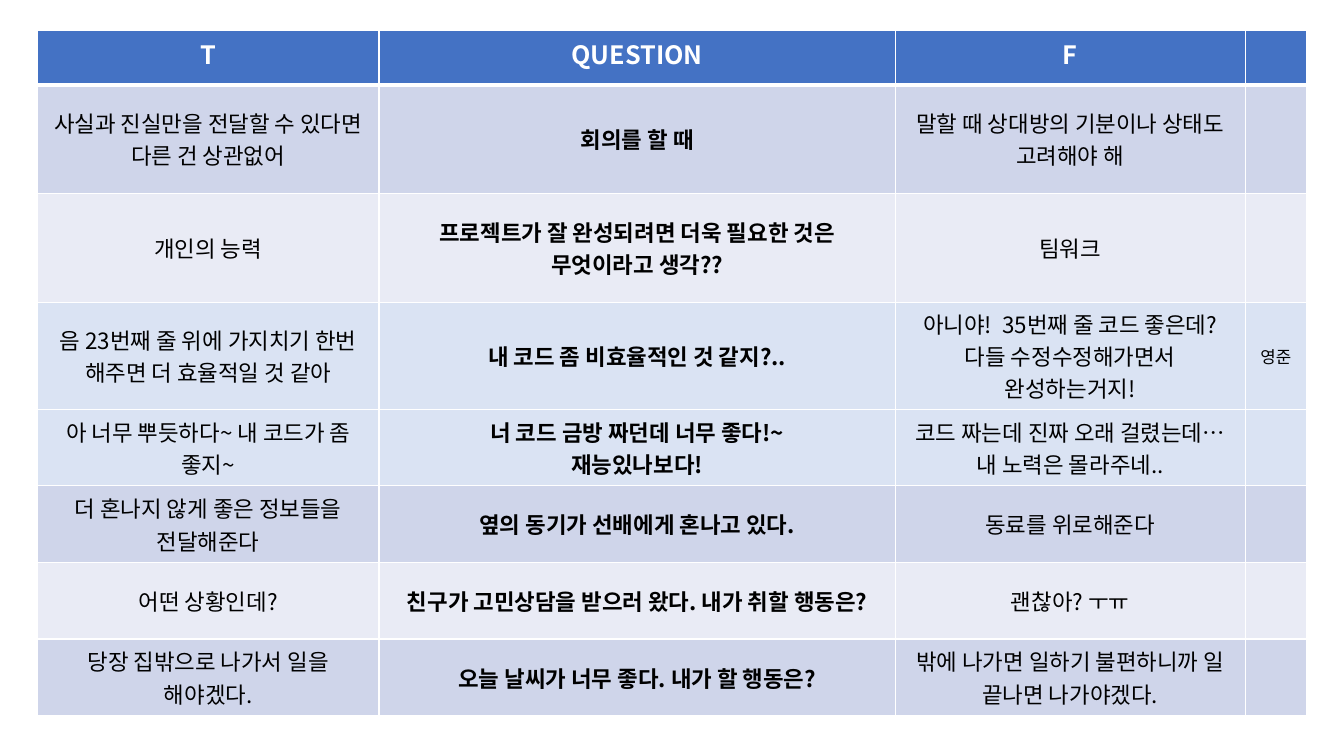
from pptx import Presentation
from pptx.dml.color import RGBColor as RGB
from pptx.enum.text import MSO_ANCHOR as Anchor, PP_ALIGN as Align
from pptx.oxml import parse_xml
from pptx.oxml.ns import nsdecls
from pptx.util import Inches, Pt

FONT = "Noto Sans CJK KR"
WHITE, BLACK = "FFFFFF", "000000"
BLUE, DARK, LIGHT, PALE = "4472C4", "CFD5EA", "E9EBF5", "DAE3F3"


def write(cell, text, size, color, bold):
    """Put centred text in a cell, one paragraph a line."""
    frame = cell.text_frame
    for i, line in enumerate(text.split("\n")):
        para = frame.paragraphs[0] if i == 0 else frame.add_paragraph()
        para.alignment = Align.CENTER
        run = para.add_run()
        run.text = line
        font = run.font
        font.name, font.size, font.bold = FONT, Pt(size), bold
        font.color.rgb = RGB.from_string(color)
        font.latin = None
        run._r.get_or_add_rPr().append(
            parse_xml(f'<a:ea {nsdecls("a")} typeface="{FONT}"/>'))


def border(cell, side, width):
    """Draw one white edge of a cell."""
    cell._tc.get_or_add_tcPr().append(parse_xml(
        f'<a:ln{side} {nsdecls("a")} w="{Pt(width)}"><a:solidFill>'
        f'<a:srgbClr val="{WHITE}"/></a:solidFill></a:ln{side}>'))


# Rows: height, fill, then the texts for T, question, F and name
rows = [
    (0.54, BLUE, "T", "QUESTION", "F", ""),
    (1.08, DARK, "사실과 진실만을 전달할 수 있다면 다른 건 상관없어",
     "회의를 할 때", "말할 때 상대방의 기분이나 상태도 고려해야 해", ""),
    (1.08, LIGHT, "개인의 능력",
     "프로젝트가 잘 완성되려면 더욱 필요한 것은 무엇이라고 생각??", "팀워크", ""),
    (0.76, PALE, "음 23번째 줄 위에 가지치기 한번 해주면 더 효율적일 것 같아",
     "내 코드 좀 비효율적인 것 같지?..",
     "아니야!  35번째 줄 코드 좋은데? 다들 수정수정해가면서 완성하는거지!", "영준"),
    (0.76, PALE, "아 너무 뿌듯하다~ 내 코드가 좀 좋지~",
     "너 코드 금방 짜던데 너무 좋다!~\n재능있나보다!",
     "코드 짜는데 진짜 오래 걸렸는데… 내 노력은 몰라주네..", ""),
    (0.76, DARK, "더 혼나지 않게 좋은 정보들을 전달해준다",
     "옆의 동기가 선배에게 혼나고 있다.", "동료를 위로해준다", ""),
    (0.76, LIGHT, "어떤 상황인데?",
     "친구가 고민상담을 받으러 왔다. 내가 취할 행동은?", "괜찮아? ㅜㅠ", ""),
    (0.76, DARK, "당장 집밖으로 나가서 일을 해야겠다.",
     "오늘 날씨가 너무 좋다. 내가 할 행동은?",
     "밖에 나가면 일하기 불편하니까 일 끝나면 나가야겠다.", ""),
]
widths = [3.39, 5.12, 3.47, 0.61]

# Slide
deck = Presentation()
deck.slide_width, deck.slide_height = Inches(13.33), Inches(7.5)
slide = deck.slides.add_slide(deck.slide_layouts[6])

# Table
grid = slide.shapes.add_table(
    len(rows), len(widths), Inches(0.37), Inches(0.3),
    Inches(sum(widths)), Inches(sum(row[0] for row in rows))).table
for col, width in zip(grid.columns, widths):
    col.width = Inches(width)

# Cells
for r, (height, fill, *texts) in enumerate(rows):
    grid.rows[r].height = Inches(height)
    head = r == 0
    for c, text in enumerate(texts):
        cell = grid.cell(r, c)
        edges = {"L": 1, "R": 1, "T": 3 if r == 1 else 1, "B": 3 if head else 1}
        for side, width in edges.items():
            border(cell, side, width)
        cell.fill.solid()
        cell.fill.fore_color.rgb = RGB.from_string(fill)
        cell.vertical_anchor = Anchor.TOP if head else Anchor.MIDDLE
        if text:
            size = 18 if head else 12 if c == 3 else 16
            write(cell, text, size, WHITE if head else BLACK, head or c == 1)

deck.save("out.pptx")
